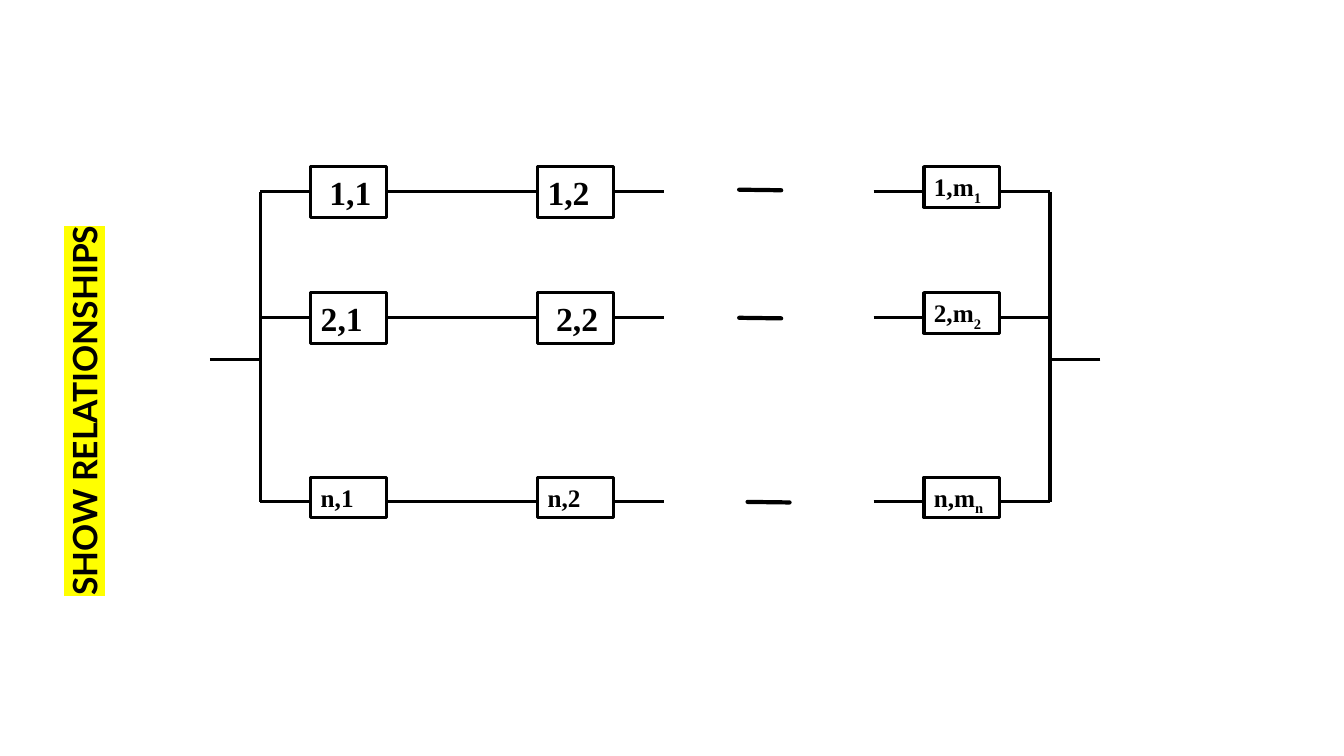
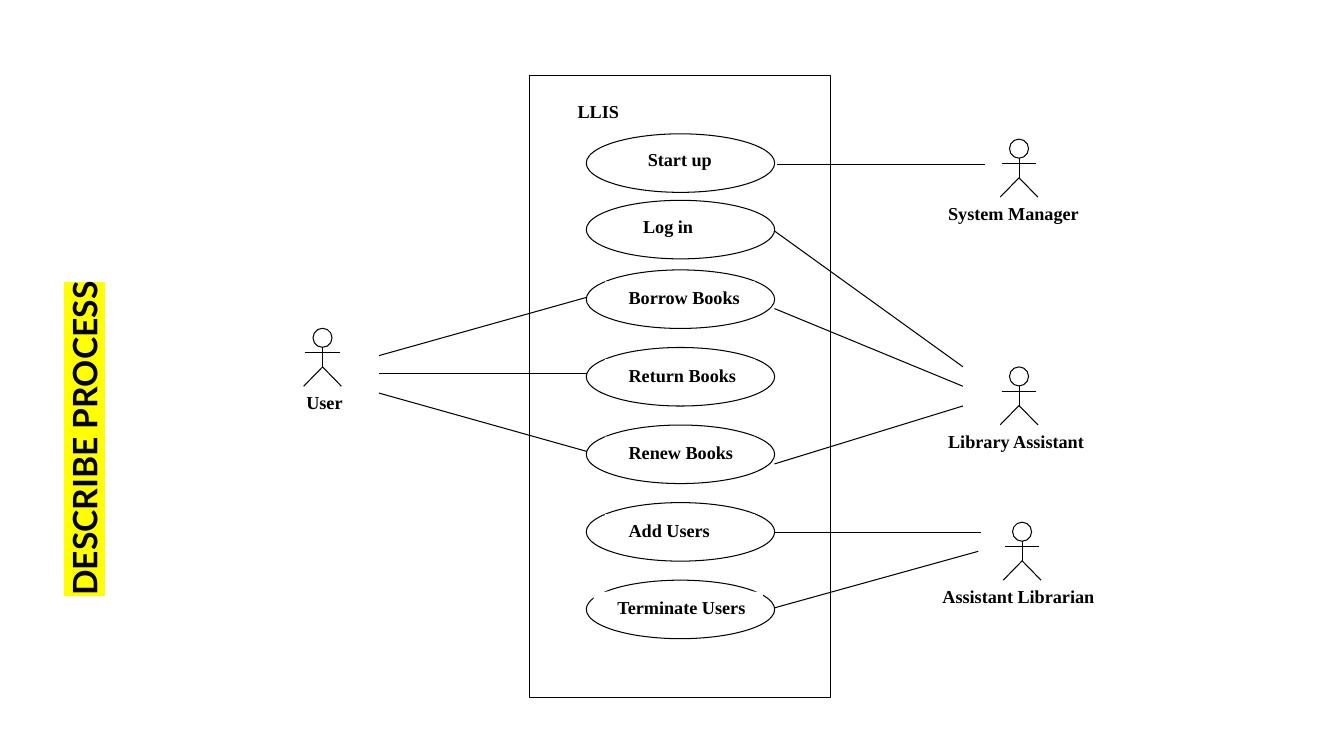
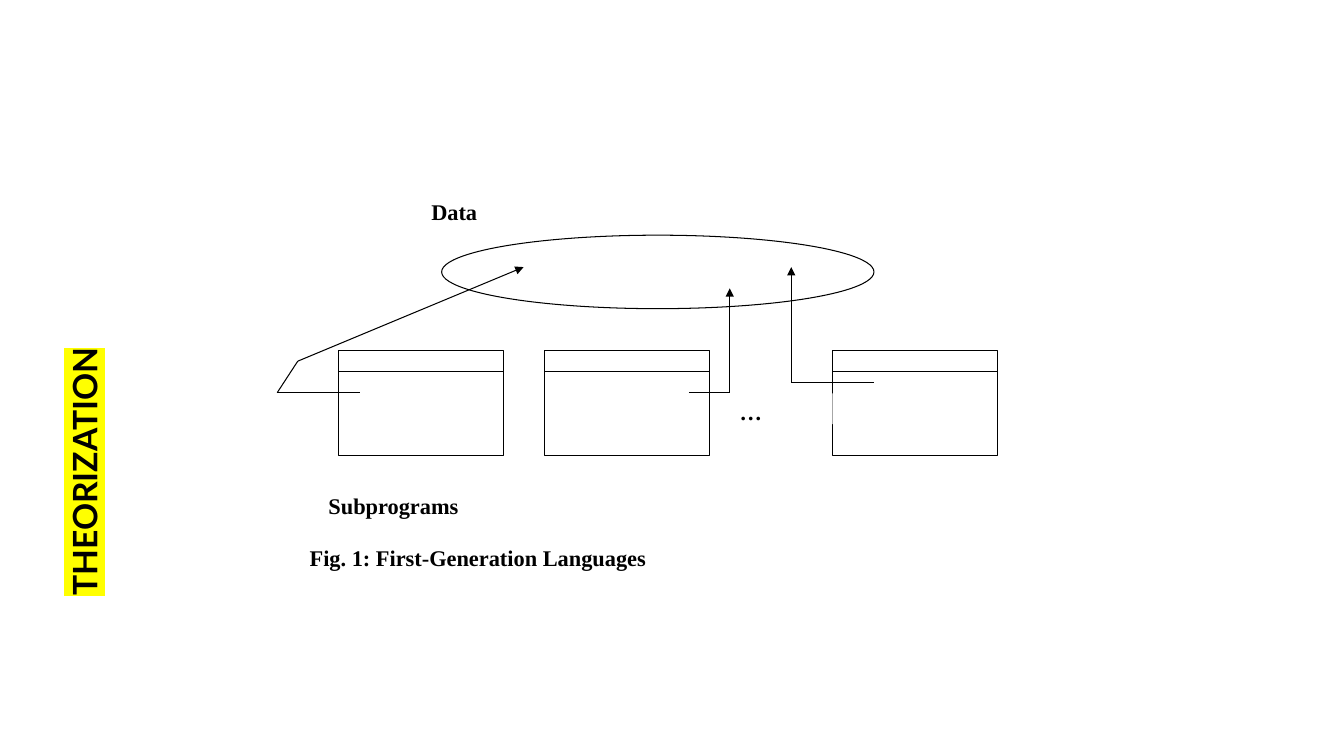
from lxml.etree import SubElement
from pptx import Presentation
from pptx.dml.color import RGBColor
from pptx.enum.shapes import MSO_CONNECTOR, MSO_SHAPE
from pptx.enum.text import MSO_ANCHOR, MSO_AUTO_SIZE, PP_ALIGN
from pptx.oxml.ns import qn
from pptx.util import Pt

BLACK = RGBColor(0x00, 0x00, 0x00)
WHITE = RGBColor(0xFF, 0xFF, 0xFF)
YELLOW = RGBColor(0xFF, 0xFF, 0x00)
TITLE_FONT, LABEL_FONT = "Lato", "Times New Roman"
RECT, OVAL = MSO_SHAPE.RECTANGLE, MSO_SHAPE.OVAL


def box(s, kind, x, y, w, h, weight=0, text="", size=13, left=7.2, sub=""):
    """White shape, outlined if it has a weight, with bold text at the top left."""
    sp = s.shapes.add_shape(kind, Pt(x), Pt(y), Pt(w), Pt(h))
    sp.shadow.inherit = False
    sp.fill.solid()
    sp.fill.fore_color.rgb = WHITE
    if weight:
        sp.line.color.rgb = BLACK
        sp.line.width = Pt(weight)
    else:
        sp.line.fill.background()
    if text:
        tf = sp.text_frame
        tf.word_wrap = True
        tf.vertical_anchor = MSO_ANCHOR.TOP
        tf.margin_left = Pt(left)
        p = tf.paragraphs[0]
        p.alignment = PP_ALIGN.LEFT
        p.font.name, p.font.size, p.font.bold = LABEL_FONT, Pt(size), True
        p.font.color.rgb = BLACK
        p.add_run().text = text
        if sub:
            r = p.add_run()
            r.text = sub
            r._r.get_or_add_rPr().set("baseline", "-25000")


def line(s, x1, y1, x2, y2, weight=0.75, arrow=False, cap="flat"):
    c = s.shapes.add_connector(MSO_CONNECTOR.STRAIGHT, Pt(x1), Pt(y1), Pt(x2), Pt(y2))
    c.line.color.rgb = BLACK
    c.line.width = Pt(weight)
    ln = c.line._get_or_add_ln()
    ln.set("cap", cap)
    if arrow:
        SubElement(ln, qn("a:tailEnd"), type="triangle")
    SubElement(c._element.spPr, qn("a:effectLst"))


prs = Presentation()
prs.slide_width, prs.slide_height = Pt(960), Pt(540)

# Slides with their highlighted titles, turned to read upwards
slides = []
for title in ("SHOW RELATIONSHIPS", "DESCRIBE PROCESS", "THEORIZATION"):
    s = prs.slides.add_slide(prs.slide_layouts[5])
    sp = s.shapes.title
    sp.left, sp.top, sp.width, sp.height = Pt(-129), Pt(217.8), Pt(386), Pt(44)
    sp.rotation = 270
    tf = sp.text_frame
    tf.auto_size = MSO_AUTO_SIZE.NONE
    tf.word_wrap = True
    tf.vertical_anchor = MSO_ANCHOR.TOP
    p = tf.paragraphs[0]
    p.alignment = PP_ALIGN.LEFT
    p.font.name, p.font.size, p.font.bold = TITLE_FONT, Pt(24), True
    p.font.color.rgb = BLACK
    r = p.add_run()
    r.text = title
    highlight = SubElement(r._r.get_or_add_rPr(), qn("a:highlight"))
    SubElement(highlight, qn("a:srgbClr"), val=str(YELLOW))
    slides.append(s)

# Slide 1: parallel rows of blocks between two buses
s = slides[0]
BUS_L, BUS_R, STUB, BLOCK_W = 186, 750, 36, 54
columns = (222, 384, 660)
# block top, wire y, dash x, dash y, joints between the first two blocks,
# blocks as (text, subscript, size, left margin)
rows = (
    (119, 137, 528, 135.5, (312,),
     (("1,1", "", 24, 13.2), ("1,2", "", 24, 7.2), ("1,m", "1", 18, 7.2))),
    (209, 227, 528, 227, (312, 348),
     (("2,1", "", 24, 7.2), ("2,2", "", 24, 13.2), ("2,m", "2", 18, 7.2))),
    (340.8, 358.5, 534, 358.5, (312,),
     (("n,1", "", 18, 7.2), ("n,2", "", 18, 7.2), ("n,m", "n", 18, 7.2))),
)
wires = [(BUS_L, columns[0]),
         (columns[1] + BLOCK_W, columns[1] + BLOCK_W + STUB),
         (columns[2] - STUB, columns[2]), (columns[2] + BLOCK_W, BUS_R)]
for top, wire_y, dash_x, dash_y, joints, blocks in rows:
    for x, (text, sub, size, left) in zip(columns, blocks):
        box(s, RECT, x, top, BLOCK_W, 36.5 if size == 24 else 29, 2.25,
            text, size, left, sub)
    stops = (columns[0] + BLOCK_W, *joints, columns[1])
    for x1, x2 in wires + list(zip(stops, stops[1:])):
        line(s, x1, wire_y, x2, wire_y, 2.25)
    line(s, dash_x, dash_y, dash_x + 30, dash_y + 0.4, 3, cap="rnd")
for bus, outer in ((BUS_L, BUS_L - STUB), (BUS_R, BUS_R + STUB)):
    line(s, bus, rows[0][1], bus, rows[-1][1], 2.25)
    line(s, outer, 257, bus, 257, 2.25)

# Slide 2: system boundary and use cases
s = slides[1]
box(s, RECT, 378.5, 54, 215, 444, 0.75)
box(s, RECT, 405.5, 68, 161, 28, text="LLIS")
# oval top, label offset, label x, width, height, left margin, text
CASE_Y, CASE_STEP = 192.8, 55.4
use_cases = [(95.6, 6.7, 445.7, 80.6, 28, 17, "Start up"),
             (143.1, 7, 445.7, 80.6, 28, 13.7, "Log in")]
for i, text in enumerate(("Borrow Books", "Return Books", "Renew Books", "Add Users")):
    use_cases.append((CASE_Y + i * CASE_STEP, 8.2, 432, 107.3, 23, 17, text))
use_cases.append((CASE_Y + 4 * CASE_STEP, 8.2, 424, 121, 19.4, 17, "Terminate Users"))
for top, dy, x, w, h, left, text in use_cases:
    box(s, OVAL, 418.8, top, 134.6, 41.8, 0.75)
    box(s, RECT, x, top + dy, w, h, text=text, left=left)

# Actors: centre x, top of head, left margin of label, name
for cx, top, left, name in ((230.4, 234.5, 69, "User"),
                            (727.9, 99.4, 30, "System Manager"),
                            (727.9, 262.1, 30, "Library Assistant"),
                            (730.1, 373, 23.7, "Assistant Librarian")):
    box(s, RECT, cx - 80.6, top + 41.7, 175, 42, text=name, left=left)
    box(s, OVAL, cx - 6.8, top, 13.6, 13.6, 0.75)
    line(s, cx, top + 13.6, cx, top + 27.6)
    line(s, cx - 12.2, top + 17.2, cx + 12.2, top + 17.2)
    for side in (-1, 1):
        line(s, cx, top + 27.6, cx + side * 13.5, top + 41.4)

# Links between actors and use cases
for x1, y1, x2, y2 in ((270.8, 254, 419, 212.4), (270.8, 266.7, 419, 266.7),
                       (270.8, 280.8, 419, 322.4), (555.3, 117.4, 703.4, 117.4),
                       (553.2, 165, 687.8, 262), (553.2, 220.4, 687.8, 275.9),
                       (553.2, 331.4, 687.8, 290), (553.2, 380.3, 701, 380.3),
                       (553.2, 434.2, 698.8, 393.8)):
    line(s, x1, y1, x2, y2)

# Slide 3: shared data above the subprograms
s = slides[2]
box(s, OVAL, 315.5, 168, 308.8, 52.5, 0.75)
for x in (242, 389, 594.7):
    box(s, RECT, x, 250.6, 117.5, 75, 0.75)
    line(s, x, 265.5, x + 117.5, 265.5)

# Labels
for x, y, w, h, left, text in (
        (521.3, 281, 73.4, 22, 7.2, "…"),
        (301, 138.2, 103, 30, 7.2, "Data"),
        (227.5, 348.2, 176.4, 45, 7.2, "Subprograms"),
        (198, 384.8, 552, 35, 23.2, "Fig. 1: First-Generation Languages")):
    box(s, RECT, x, y, w, h, text=text, size=16, left=left)

# Access paths, each ending in an arrow
for path_points in (((257, 280.5), (198, 280.5), (212.7, 258), (374, 190.8)),
                    ((492, 280.5), (521.3, 280.5), (521.3, 206)),
                    ((624.2, 273), (565.2, 273), (565.2, 190.8))):
    for start, end in zip(path_points, path_points[1:]):
        line(s, *start, *end, arrow=end == path_points[-1])

prs.save("out.pptx")
